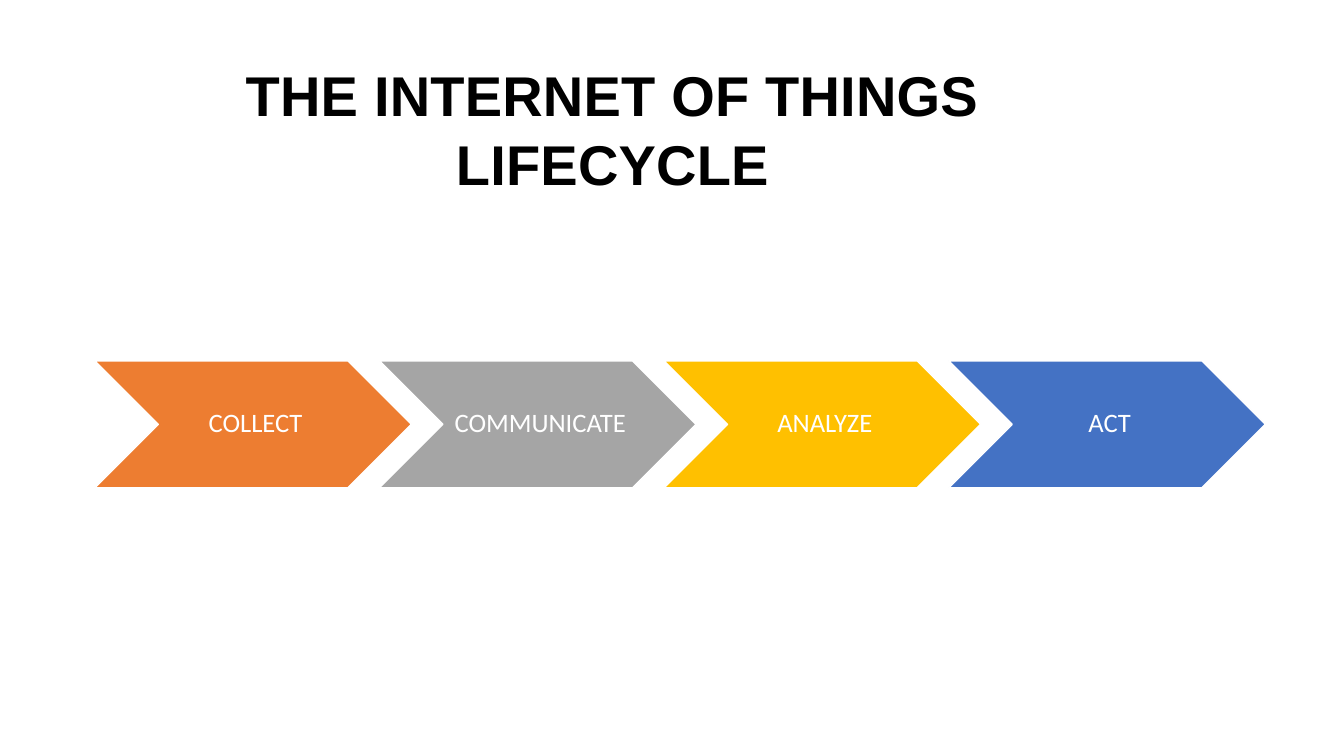
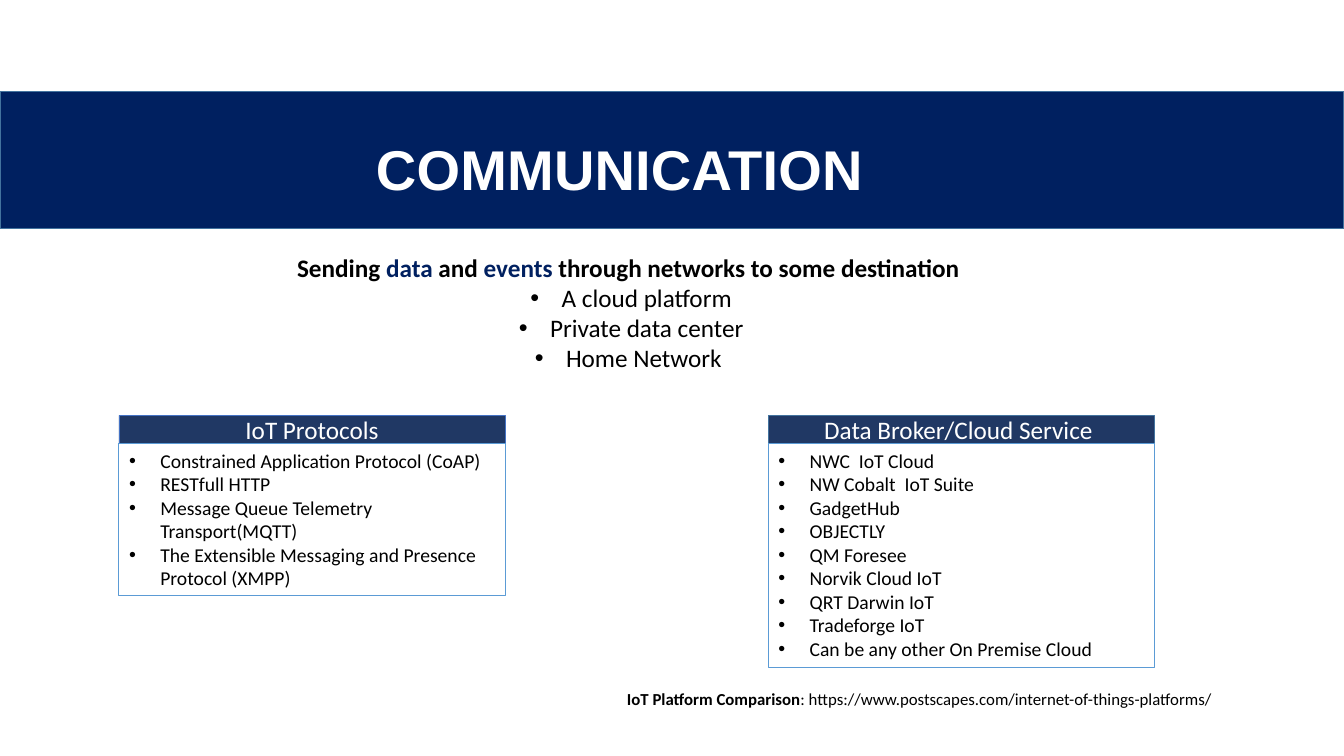
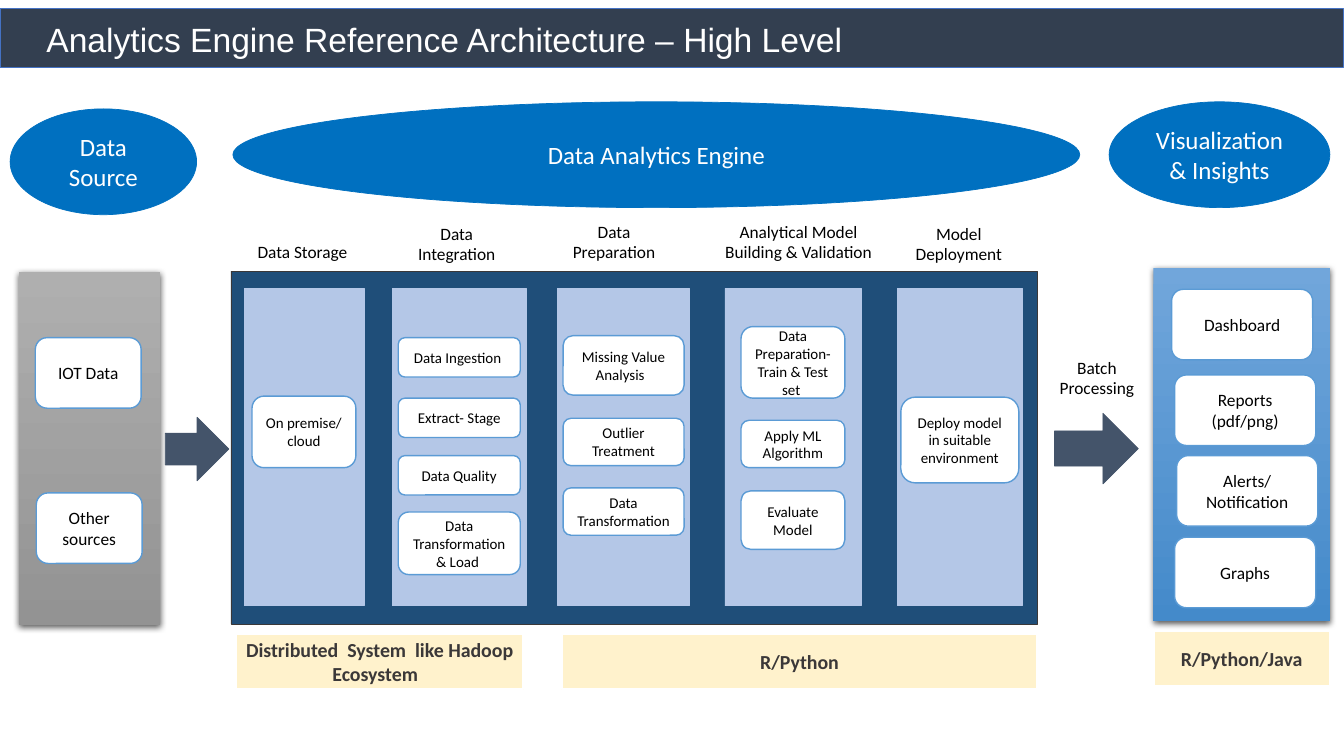
from lxml.etree import SubElement
from pptx import Presentation
from pptx.dml.color import RGBColor
from pptx.enum.shapes import MSO_SHAPE
from pptx.enum.text import MSO_ANCHOR, MSO_AUTO_SIZE, PP_ALIGN
from pptx.oxml.ns import qn
from pptx.util import Inches, Pt

BLACK, WHITE = "000000", "FFFFFF"
NAVY, HEADER_NAVY, SLATE = "002060", "203864", "333F50"
EDGE_BLUE, LIGHT_BLUE, ACCENT_BLUE = "43739E", "5B9BD5", "4472C4"
OVAL_BLUE, ENGINE_BLUE, COLUMN_BLUE = "0070C0", "1F4E79", "B4C7E7"
ARROW_GRAY, CHARCOAL, CREAM = "44546A", "3B3838", "FFF2CC"
ORANGE, GRAY, GOLD = "ED7D31", "A5A5A5", "FFC000"

COMPARISON_LAYOUT, TITLE_ONLY_LAYOUT = 4, 5
DEFAULT_INSETS = (0.1, 0.05, 0.1, 0.05)
SMALL, LABEL, OVAL_SIZE, TOOL_SIZE = 10.7, 12.4, 17.8, 14.2


def rgb(color):
    return RGBColor.from_string(color)


def place(shape, box):
    shape.left, shape.top, shape.width, shape.height = map(Inches, box)


def add_bullet(paragraph):
    properties = paragraph._p.get_or_add_pPr()
    properties.set("marL", str(Inches(0.31)))
    properties.set("indent", str(Inches(-0.31)))
    SubElement(properties, qn("a:buFont")).set("typeface", "Arial")
    SubElement(properties, qn("a:buChar")).set("char", "•")


def write(shape, lines, size, color=BLACK, bold=False, font="Calibri",
          align=PP_ALIGN.CENTER, anchor=MSO_ANCHOR.MIDDLE,
          insets=DEFAULT_INSETS, bullets_from=None, line_spacing=1.0,
          tracking=0):
    """Write each line as a paragraph; a line is a string or (text, color, bold) runs."""
    frame = shape.text_frame
    frame.word_wrap = True
    frame.auto_size = MSO_AUTO_SIZE.NONE
    frame.vertical_anchor = anchor
    (frame.margin_left, frame.margin_top,
     frame.margin_right, frame.margin_bottom) = map(Inches, insets)
    for index, line in enumerate(lines):
        paragraph = frame.paragraphs[0] if index == 0 else frame.add_paragraph()
        paragraph.alignment = align
        paragraph.line_spacing = line_spacing
        paragraph.space_before = paragraph.space_after = Pt(0)
        if bullets_from is not None and index >= bullets_from:
            add_bullet(paragraph)
        runs = [(line, color, bold)] if isinstance(line, str) else line
        for text, run_color, run_bold in runs:
            run = paragraph.add_run()
            run.text = text
            run.font.name, run.font.size = font, Pt(size)
            run.font.bold = run_bold
            run.font.color.rgb = rgb(run_color)
            if tracking:
                run._r.get_or_add_rPr().set("spc", str(tracking))


def paint(shape, fill=None, line=None, line_width=0.5):
    if fill:
        shape.fill.solid()
        shape.fill.fore_color.rgb = rgb(fill)
    else:
        shape.fill.background()
    if line:
        shape.line.color.rgb = rgb(line)
        shape.line.width = Pt(line_width)
    else:
        shape.line.fill.background()


def add_shape(slide, kind, box, fill, line=None, line_width=0.5):
    shape = slide.shapes.add_shape(kind, *map(Inches, box))
    shape.shadow.inherit = False
    paint(shape, fill, line, line_width)
    return shape


def add_text(slide, box, lines, size, **style):
    text_box = slide.shapes.add_textbox(*map(Inches, box))
    write(text_box, lines, size, anchor=MSO_ANCHOR.TOP, **style)


def add_band(slide, box, fill, line, line_width):
    band = add_shape(slide, MSO_SHAPE.RECTANGLE, box, fill, line, line_width)
    slide.shapes.title.element.addprevious(band.element)


def set_capital_title(slide, text, top, height, color):
    title = slide.shapes.title
    place(title, (2.43 if color == WHITE else 2.36, top, 7.43, height))
    write(title, [text], 40, color, True, "Arial", anchor=MSO_ANCHOR.TOP,
          insets=(0, 0.09, 0, 0), line_spacing=1.04, tracking=20)


def add_chevrons(slide, box, stages):
    left, top, width, height = box
    chevron_width = 3.14
    pitch = (width - chevron_width) / (len(stages) - 1)
    for index, (text, fill) in enumerate(stages):
        chevron = add_shape(
            slide, MSO_SHAPE.CHEVRON,
            (left + index * pitch, top, chevron_width, height), fill, WHITE, 1)
        write(chevron, [text], 19, WHITE, insets=(0.08, 0.03, 0.03, 0.03),
              line_spacing=0.9)


def build_lifecycle(presentation):
    slide = presentation.slides.add_slide(
        presentation.slide_layouts[TITLE_ONLY_LAYOUT])
    set_capital_title(slide, "THE INTERNET OF THINGS LIFECYCLE", 0.48, 1.41, BLACK)
    add_chevrons(slide, (0.94, 3.58, 11.61, 1.26), [
        ("COLLECT", ORANGE), ("COMMUNICATE", GRAY),
        ("ANALYZE", GOLD), ("ACT", ACCENT_BLUE)])


def fill_list_card(header, body, box, heading, items, edge):
    left, top, width, height = box
    header_height = 0.28
    place(header, (left, top, width, header_height))
    paint(header, HEADER_NAVY, *edge)
    write(header, [heading], 18, WHITE)
    place(body, (left, top + header_height, width, height - header_height))
    paint(body, None, LIGHT_BLUE, 0.75)
    write(body, items, 14, align=PP_ALIGN.LEFT, anchor=MSO_ANCHOR.TOP,
          bullets_from=0)


def build_communication(presentation):
    slide = presentation.slides.add_slide(
        presentation.slide_layouts[COMPARISON_LAYOUT])
    add_band(slide, (0, 0.91, 13.33, 1.36), NAVY, EDGE_BLUE, 1)
    set_capital_title(slide, "COMMUNICATION", 1.22, 0.74, WHITE)
    add_text(slide, (0.84, 2.45, 10.84, 1.31), [
        [("Sending ", BLACK, True), ("data", NAVY, True), (" and ", BLACK, True),
         ("events ", NAVY, True),
         ("through networks to some destination ", BLACK, True)],
        "A cloud platform", "Private data center", "Home Network "],
        18, bullets_from=1)
    parts = slide.placeholders
    fill_list_card(parts[1], parts[2], (1.18, 4.12, 3.83, 1.79), "IoT Protocols", [
        "Constrained Application Protocol (CoAP)",
        "RESTfull HTTP",
        "Message Queue Telemetry Transport(MQTT)",
        "The Extensible Messaging and Presence Protocol (XMPP)"],
        (ACCENT_BLUE, 0.5))
    fill_list_card(parts[3], parts[4], (7.62, 4.12, 3.83, 2.5),
                   "Data Broker/Cloud Service ", [
        "NWC  IoT Cloud",
        "NW Cobalt  IoT Suite",
        "GadgetHub",
        "OBJECTLY",
        "QM Foresee",
        "Norvik Cloud IoT",
        "QRT Darwin IoT",
        "Tradeforge IoT",
        "Can be any other On Premise Cloud"],
        (EDGE_BLUE, 1))
    add_text(slide, (6.12, 6.78, 6.25, 0.3), [
        [("IoT Platform Comparison", BLACK, True),
         (": https://www.postscapes.com/internet-of-things-platforms/", BLACK, False)]],
        12, align=PP_ALIGN.LEFT)


def add_card(slide, box, text, size):
    card = add_shape(slide, MSO_SHAPE.ROUNDED_RECTANGLE, box, WHITE, LIGHT_BLUE, 1)
    write(card, [text], size)


def add_oval(slide, box, text):
    oval = add_shape(slide, MSO_SHAPE.OVAL, box, OVAL_BLUE, OVAL_BLUE)
    write(oval, [text], OVAL_SIZE, WHITE)


def add_tool_label(slide, box, text):
    label = add_shape(slide, MSO_SHAPE.RECTANGLE, box, CREAM, WHITE, 1.5)
    write(label, [text], TOOL_SIZE, CHARCOAL, True)


def add_soft_shadow(shape):
    effects = shape.element.spPr.find(qn("a:effectLst"))
    shadow = SubElement(effects, qn("a:outerShdw"), blurRad=str(Pt(4.5)),
                        dist=str(Pt(1.5)), dir="5400000", rotWithShape="0")
    color = SubElement(shadow, qn("a:srgbClr"), val=BLACK)
    SubElement(color, qn("a:alpha"), val="63000")


def add_gradient_panel(slide, box, top_color, bottom_color, card_size, cards):
    """Cards are (text, left, top), measured from the panel's corner."""
    left, top = box[:2]
    panel = add_shape(slide, MSO_SHAPE.RECTANGLE, box, top_color)
    panel.fill.gradient()
    panel.fill.gradient_angle = 270
    for stop, color in zip(panel.fill.gradient_stops, (top_color, bottom_color)):
        stop.color.rgb = rgb(color)
    add_soft_shadow(panel)
    for text, card_left, card_top in cards:
        add_card(slide, (left + card_left, top + card_top, *card_size), text, LABEL)


def add_caption(slide, center, top, text):
    width = 1.67
    add_text(slide, (center - width / 2, top, width, 0.52), text.split("\n"), LABEL)


def add_engine_column(slide, box, step_width, steps):
    """Steps are (text, top, height), centred across the column."""
    left, top, width, _ = box
    add_shape(slide, MSO_SHAPE.RECTANGLE, box, COLUMN_BLUE, COLUMN_BLUE)
    for text, step_top, step_height in steps:
        add_card(slide, (left + (width - step_width) / 2, top + step_top,
                         step_width, step_height), text, SMALL)


def add_engine(slide, box):
    left, top, _, _ = box
    add_shape(slide, MSO_SHAPE.RECTANGLE, box, ENGINE_BLUE, CHARCOAL)
    columns = [
        (0.13, 1.19, 1.03, [("On premise/ cloud", 1.07, 0.71)]),
        (1.6, 1.33, 1.21, [
            ("Data Ingestion ", 0.49, 0.39), ("Extract- Stage", 1.09, 0.39),
            ("Data Quality", 1.66, 0.39), ("Data Transformation & Load ", 2.22, 0.62)]),
        (3.24, 1.31, 1.2, [
            ("Missing Value Analysis  ", 0.47, 0.59), ("Outlier Treatment", 1.29, 0.47),
            ("Data Transformation", 1.98, 0.47)]),
        (4.9, 1.35, 1.03, [
            ("Data Preparation- Train & Test set ", 0.38, 0.71),
            ("Apply ML Algorithm", 1.31, 0.47), ("Evaluate Model", 2.01, 0.58)]),
        (6.61, 1.24, 1.17, [("Deploy model in suitable environment", 1.08, 0.85)]),
    ]
    for column_left, width, step_width, steps in columns:
        add_engine_column(slide, (left + column_left, top + 0.17, width, 3.15),
                          step_width, steps)
    for center, rise, text in [
            (0.71, 0.35, "Data Storage"), (2.24, 0.53, "Data\nIntegration"),
            (3.8, 0.55, "Data\nPreparation"),
            (5.63, 0.55, "Analytical Model Building & Validation"),
            (7.22, 0.53, "Model\nDeployment")]:
        add_caption(slide, left + center, top - rise, text)


def build_architecture(presentation):
    slide = presentation.slides.add_slide(
        presentation.slide_layouts[TITLE_ONLY_LAYOUT])
    add_band(slide, (0, 0.08, 13.32, 0.59), SLATE, ACCENT_BLUE, 0.5)
    place(slide.shapes.title, (0.36, 0.06, 11.5, 0.7))
    write(slide.shapes.title,
          ["Analytics Engine Reference Architecture – High Level"],
          24, WHITE, font="Arial", align=PP_ALIGN.LEFT, line_spacing=0.9)
    add_gradient_panel(slide, (0.19, 2.7, 1.4, 3.5), "AFAFAF", "939393", (1.05, 0.7), [
        ("IOT Data", 0.16, 0.65), ("Other sources", 0.17, 2.19)])
    add_engine(slide, (2.29, 2.69, 8, 3.5))
    add_gradient_panel(slide, (11.44, 2.66, 1.75, 3.5), "71A6DB", "448ACA", (1.4, 0.7), [
        ("Dashboard", 0.18, 0.21), ("Reports (pdf/png)", 0.21, 1.06),
        ("Alerts/ Notification", 0.23, 1.86), ("Graphs", 0.21, 2.67)])
    for box in [(1.64, 4.14, 0.63, 0.63), (10.46, 4.1, 0.83, 0.7)]:
        add_shape(slide, MSO_SHAPE.RIGHT_ARROW, box, ARROW_GRAY, ARROW_GRAY)
    add_caption(slide, 10.88, 3.49, "Batch\nProcessing")
    add_oval(slide, (0.1, 1.08, 1.85, 1.05), "Data Source")
    add_oval(slide, (2.31, 1.01, 8.4, 1.05), "Data Analytics Engine")
    add_oval(slide, (11, 1.01, 2.19, 1.05), "Visualization & Insights")
    add_tool_label(slide, (2.34, 6.29, 2.85, 0.55),
                   "Distributed  System  like Hadoop Ecosystem  ")
    add_tool_label(slide, (5.57, 6.29, 4.72, 0.55), "R/Python")
    add_tool_label(slide, (11.44, 6.26, 1.75, 0.55), "R/Python/Java")


def main():
    presentation = Presentation()
    presentation.slide_width, presentation.slide_height = Inches(13.33), Inches(7.5)
    build_lifecycle(presentation)
    build_communication(presentation)
    build_architecture(presentation)
    presentation.save("out.pptx")


if __name__ == "__main__":
    main()
